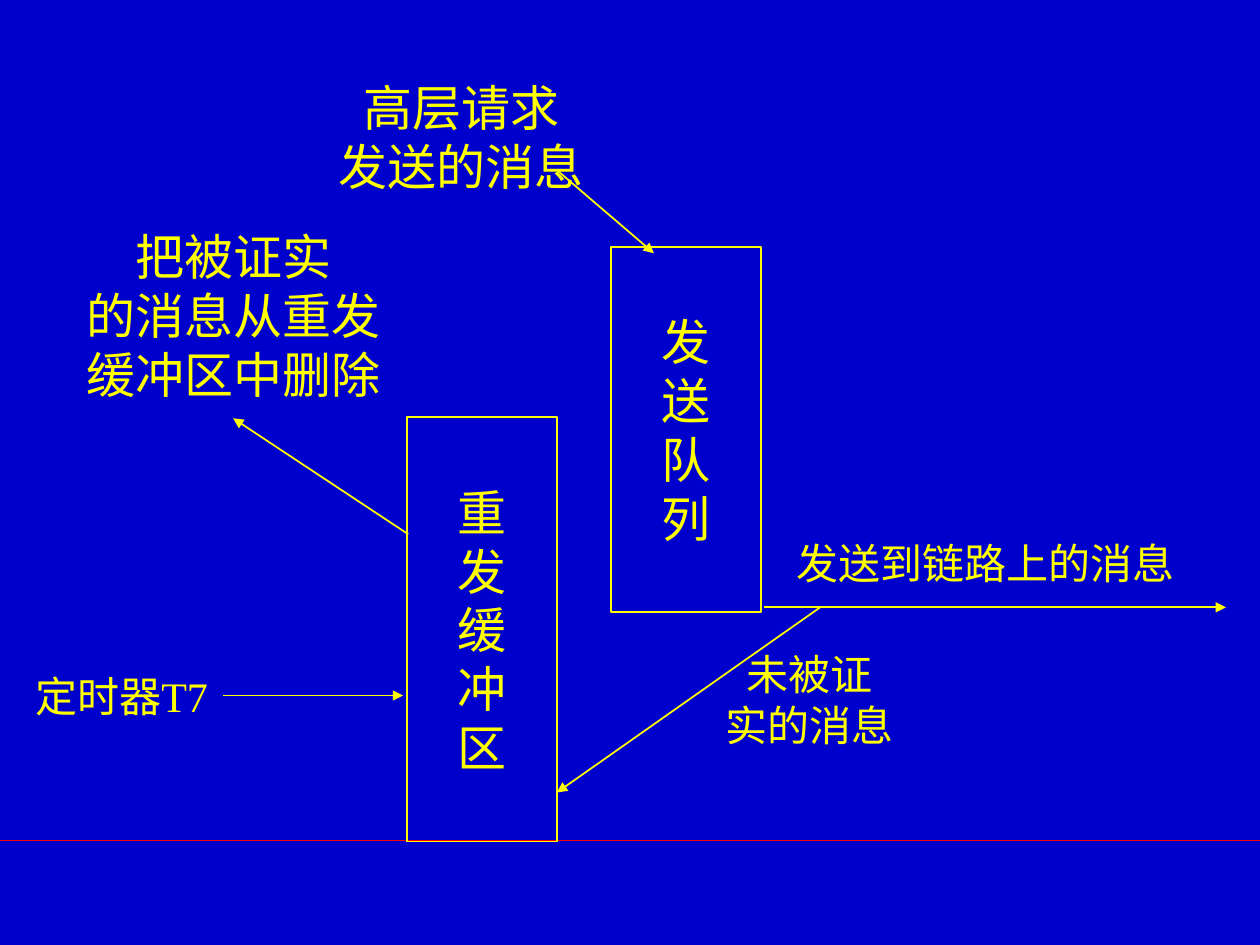
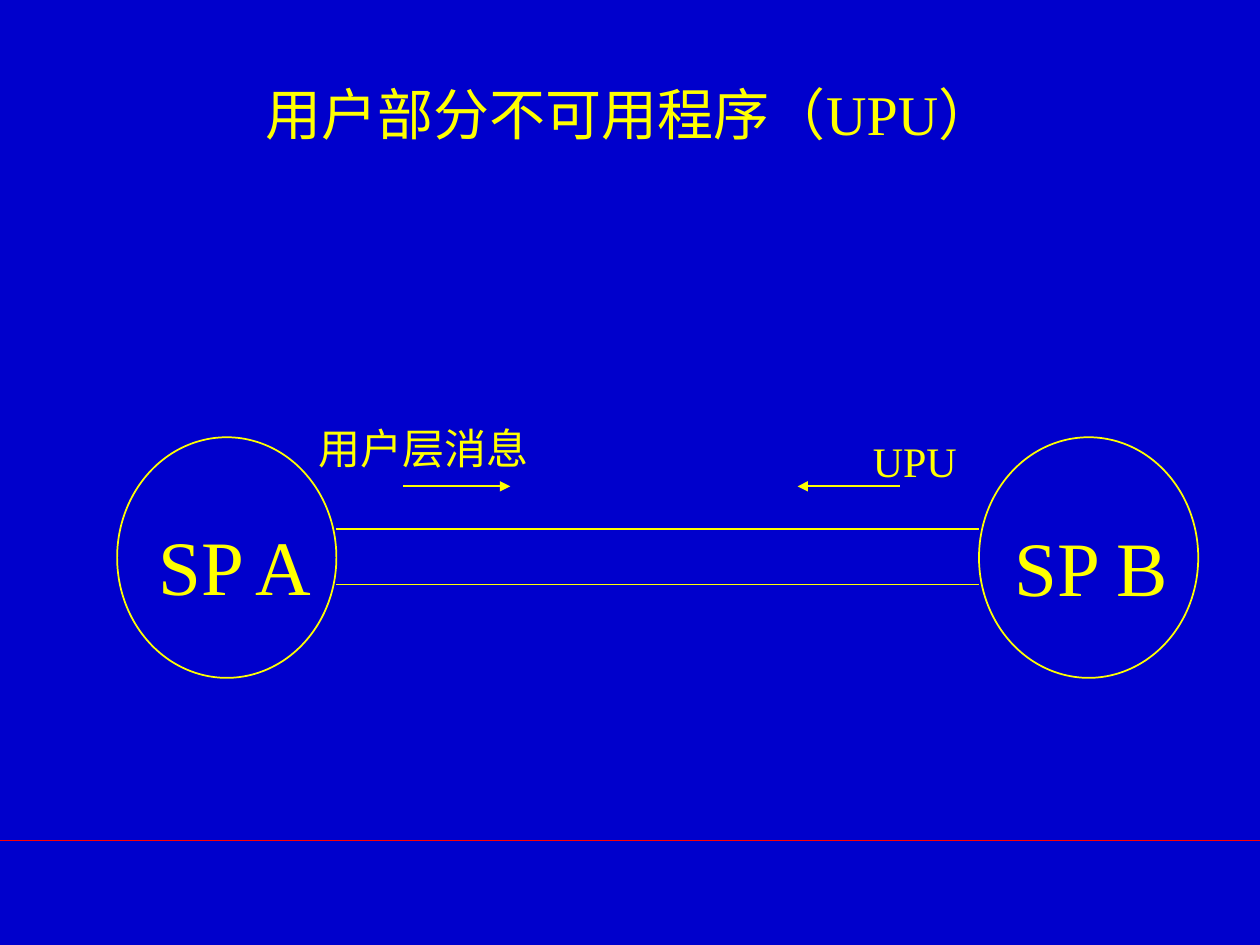
from dataclasses import dataclass

from lxml.etree import SubElement
from pptx import Presentation
from pptx.dml.color import RGBColor
from pptx.enum.shapes import MSO_CONNECTOR, MSO_SHAPE
from pptx.enum.text import MSO_ANCHOR, MSO_AUTO_SIZE, PP_ALIGN
from pptx.oxml.ns import qn
from pptx.presentation import Presentation as Deck
from pptx.shapes.autoshape import Shape
from pptx.slide import Slide
from pptx.util import Inches, Pt


@dataclass(frozen=True)
class Theme:
    """Colours, font and sizes shared by the slides."""

    background: RGBColor = RGBColor(0x00, 0x00, 0xCC)
    ink: RGBColor = RGBColor(0xFF, 0xFF, 0x00)
    rule: RGBColor = RGBColor(0xFF, 0x00, 0x00)
    font: str = "Times New Roman"
    title: int = 32
    body: int = 28
    small: int = 24
    node: int = 44
    line: int = 1


@dataclass(frozen=True)
class Box:
    """A rectangle in inches."""

    left: float
    top: float
    width: float
    height: float


@dataclass(frozen=True)
class Label:
    """Text centred in a box, one paragraph for each line."""

    box: Box
    text: str
    size: int


@dataclass(frozen=True)
class Line:
    """A straight line in inches, with an optional arrowhead at its end."""

    start: tuple[float, float]
    end: tuple[float, float]
    arrow: bool = True
    color: RGBColor = Theme.ink


THEME = Theme()
SLIDE_WIDTH, SLIDE_HEIGHT = 10, 7.5
FOOTER_RULE = Line((0, 6.67), (SLIDE_WIDTH, 6.67), arrow=False, color=THEME.rule)

QUEUES = [
    Label(Box(4.85, 1.96, 1.19, 2.9), "发\n送\n队\n列", THEME.body),
    Label(Box(3.23, 3.31, 1.19, 3.37), "重\n发\n缓\n冲\n区", THEME.body),
]
QUEUE_ARROWS = [
    Line((4.42, 1.35), (5.19, 2.01)),
    Line((6.06, 4.82), (9.73, 4.82)),
    Line((6.51, 4.82), (4.42, 6.29)),
    Line((3.24, 4.24), (1.85, 3.32)),
    Line((1.77, 5.52), (3.2, 5.52)),
]
QUEUE_LABELS = [
    Label(Box(2.59, 0.56, 2.14, 1.04), "高层请求\n发送的消息", THEME.body),
    Label(Box(6.22, 4.22, 3.2, 0.5), "发送到链路上的消息", THEME.small),
    Label(Box(5.66, 5.1, 1.53, 0.9), "未被证\n实的消息", THEME.small),
    Label(Box(0.59, 1.75, 2.53, 1.5), "把被证实\n的消息从重发\n缓冲区中删除", THEME.body),
    Label(Box(0.14, 5.27, 1.65, 0.5), "定时器T7", THEME.small),
]

NODE_A = Box(0.93, 3.47, 1.74, 1.91)
NODE_B = Box(7.77, 3.47, 1.74, 1.91)
LINK_HEIGHTS = (4.2, 4.64)
MESSAGE_ARROWS = [
    Line((3.2, 3.86), (4.05, 3.86)),
    Line((7.14, 3.86), (6.33, 3.86)),
]
NODE_LABELS = [
    Label(Box(1.13, 4.06, 1.47, 0.84), "SP A", THEME.node),
    Label(Box(7.94, 4.07, 1.44, 0.84), "SP B", THEME.node),
    Label(Box(2.35, 3.3, 2.02, 0.5), "用户层消息", THEME.small),
    Label(Box(6.75, 3.41, 1.02, 0.5), "UPU", THEME.small),
    Label(Box(1.9, 0.58, 6.2, 0.64), "用户部分不可用程序（UPU）", THEME.title),
]


def place(box: Box) -> tuple[Inches, Inches, Inches, Inches]:
    """Return the left, top, width and height of a box as lengths."""
    return Inches(box.left), Inches(box.top), Inches(box.width), Inches(box.height)


def write_text(shape: Shape, text: str, size: int, wrap: bool) -> None:
    """Fill a shape with centred text."""
    frame = shape.text_frame
    frame.word_wrap = wrap
    frame.vertical_anchor = MSO_ANCHOR.MIDDLE
    frame.text = text
    for paragraph in frame.paragraphs:
        paragraph.alignment = PP_ALIGN.CENTER
        paragraph.font.name = THEME.font
        paragraph.font.size = Pt(size)
        paragraph.font.color.rgb = THEME.ink


def draw_label(slide: Slide, label: Label) -> None:
    """Draw text that stays on its own lines."""
    text_box = slide.shapes.add_textbox(*place(label.box))
    write_text(text_box, label.text, label.size, wrap=False)
    text_box.text_frame.auto_size = MSO_AUTO_SIZE.SHAPE_TO_FIT_TEXT


def draw_outline(slide: Slide, kind: MSO_SHAPE, box: Box) -> Shape:
    """Draw an unfilled shape with a thin outline."""
    shape = slide.shapes.add_shape(kind, *place(box))
    shape.shadow.inherit = False
    shape.fill.background()
    shape.line.color.rgb = THEME.ink
    shape.line.width = Pt(THEME.line)
    return shape


def draw_line(slide: Slide, line: Line) -> None:
    """Draw a straight line or arrow without a shadow."""
    points = [Inches(value) for value in (*line.start, *line.end)]
    connector = slide.shapes.add_connector(MSO_CONNECTOR.STRAIGHT, *points)
    connector.line.color.rgb = line.color
    connector.line.width = Pt(THEME.line)
    properties = connector.element.spPr
    if line.arrow:
        SubElement(properties.find(qn("a:ln")), qn("a:tailEnd"), type="triangle")
    SubElement(properties, qn("a:effectLst"))


def add_slide(presentation: Deck) -> Slide:
    """Add a blank slide with the footer rule."""
    slide = presentation.slides.add_slide(presentation.slide_layouts[6])
    draw_line(slide, FOOTER_RULE)
    return slide


def build_queue_slide(presentation: Deck) -> None:
    """Show how messages pass through the send queue and resend buffer."""
    slide = add_slide(presentation)
    for queue in QUEUES:
        shape = draw_outline(slide, MSO_SHAPE.RECTANGLE, queue.box)
        write_text(shape, queue.text, queue.size, wrap=True)
    for arrow in QUEUE_ARROWS:
        draw_line(slide, arrow)
    for label in QUEUE_LABELS:
        draw_label(slide, label)


def build_unavailable_slide(presentation: Deck) -> None:
    """Show the user part unavailable procedure between two nodes."""
    slide = add_slide(presentation)
    for node in (NODE_A, NODE_B):
        draw_outline(slide, MSO_SHAPE.OVAL, node)
    for height in LINK_HEIGHTS:
        start = (NODE_A.left + NODE_A.width, height)
        draw_line(slide, Line(start, (NODE_B.left, height), arrow=False))
    for arrow in MESSAGE_ARROWS:
        draw_line(slide, arrow)
    for label in NODE_LABELS:
        draw_label(slide, label)


def main() -> None:
    """Build and save the presentation."""
    presentation = Presentation()
    presentation.slide_width = Inches(SLIDE_WIDTH)
    presentation.slide_height = Inches(SLIDE_HEIGHT)
    background = presentation.slide_master.background.fill
    background.solid()
    background.fore_color.rgb = THEME.background
    build_queue_slide(presentation)
    build_unavailable_slide(presentation)
    presentation.save("out.pptx")


if __name__ == "__main__":
    main()
